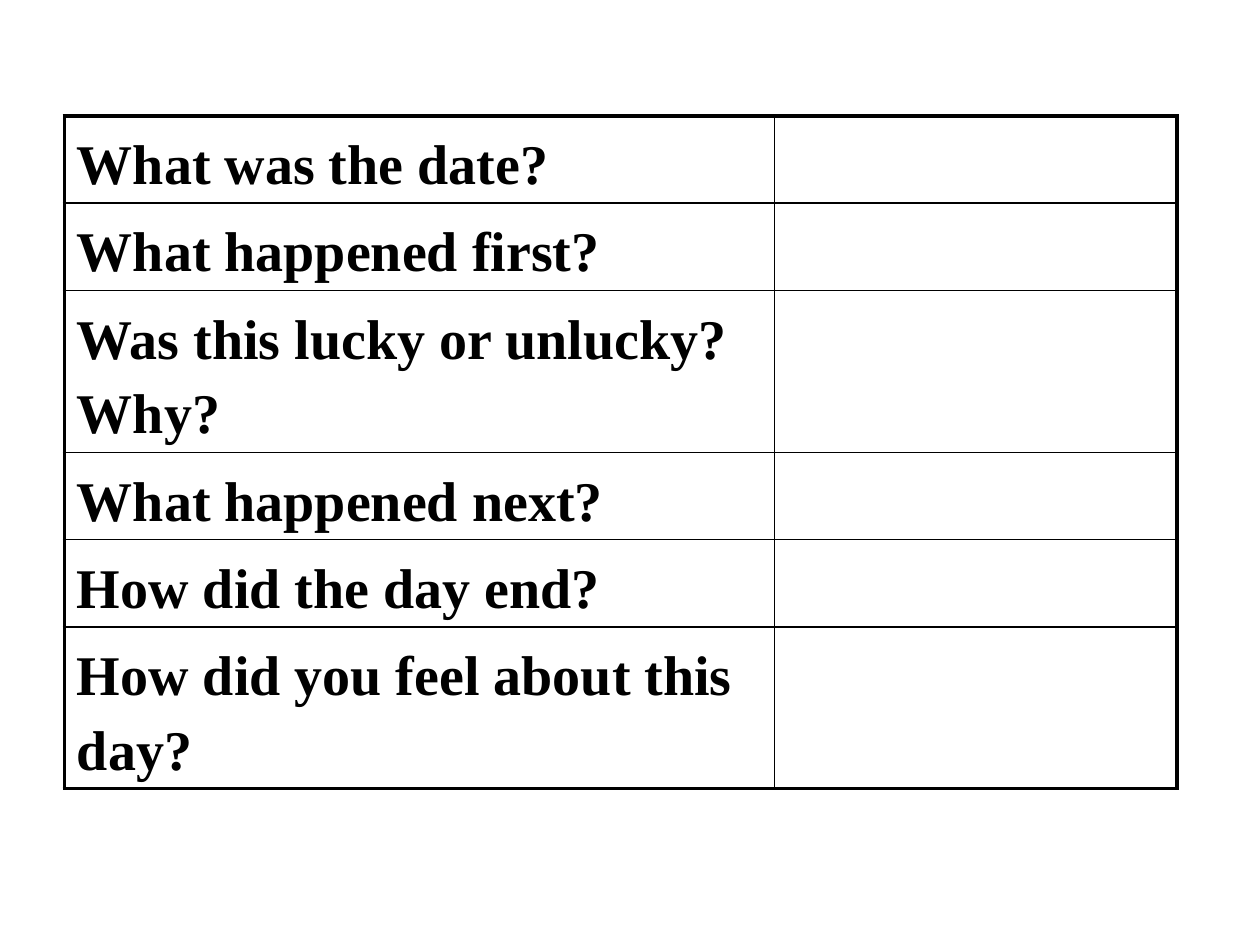
from dataclasses import dataclass

from lxml.etree import SubElement as Sub
from pptx import Presentation
from pptx.dml.color import RGBColor as Rgb
from pptx.oxml.ns import qn
from pptx.table import Table, _Cell as Cell
from pptx.util import Pt


@dataclass(frozen=True)
class Theme:
    ink: str = "000000"
    font: str = "Times New Roman"
    size: float = 32
    lead: float = 1.2
    thick: float = 2.25
    thin: float = 1


@dataclass(frozen=True)
class Grid:
    left: float
    top: float
    cols: tuple[float, ...]
    row: float


THEME = Theme()
GRID = Grid(left=36.75, top=66.25, cols=(406, 229.75), row=49)
ASKS = (
    "What was the date?",
    "What happened first?",
    "Was this lucky or unlucky? Why?",
    "What happened next?",
    "How did the day end?",
    "How did you feel about this day?",
)


def rule(cell: Cell, side: str, width: float) -> None:
    """Draw one border of a cell; side is L, R, T or B."""
    line = Sub(cell._tc.get_or_add_tcPr(), qn(f"a:ln{side}"), w=str(Pt(width)))
    fill = Sub(line, qn("a:solidFill"))
    Sub(fill, qn("a:srgbClr"), val=THEME.ink)


def frame(table: Table) -> None:
    """Rule every cell, with thick lines on the outer edge."""
    rows, cols = len(table.rows), len(table.columns)
    for row in range(rows):
        for col in range(cols):
            cell = table.cell(row, col)
            edges = {"L": col == 0, "R": col == cols - 1,
                     "T": row == 0, "B": row == rows - 1}
            for side, outer in edges.items():
                rule(cell, side, THEME.thick if outer else THEME.thin)
            cell.fill.background()


def write(cell: Cell, text: str) -> None:
    cell.text = text
    para = cell.text_frame.paragraphs[0]
    para.line_spacing = THEME.lead
    font = para.font
    font.name, font.size, font.bold = THEME.font, Pt(THEME.size), True
    font.color.rgb = Rgb.from_string(THEME.ink)


def main() -> None:
    deck = Presentation()
    deck.slide_width, deck.slide_height = Pt(720), Pt(540)
    slide = deck.slides.add_slide(deck.slide_layouts[6])
    table = slide.shapes.add_table(
        len(ASKS), len(GRID.cols), Pt(GRID.left), Pt(GRID.top),
        Pt(sum(GRID.cols)), Pt(GRID.row * len(ASKS))).table
    table.first_row = table.horz_banding = False
    for col, width in zip(table.columns, GRID.cols):
        col.width = Pt(width)
    frame(table)
    for row, ask in enumerate(ASKS):
        write(table.cell(row, 0), ask)
    deck.save("out.pptx")


if __name__ == "__main__":
    main()
